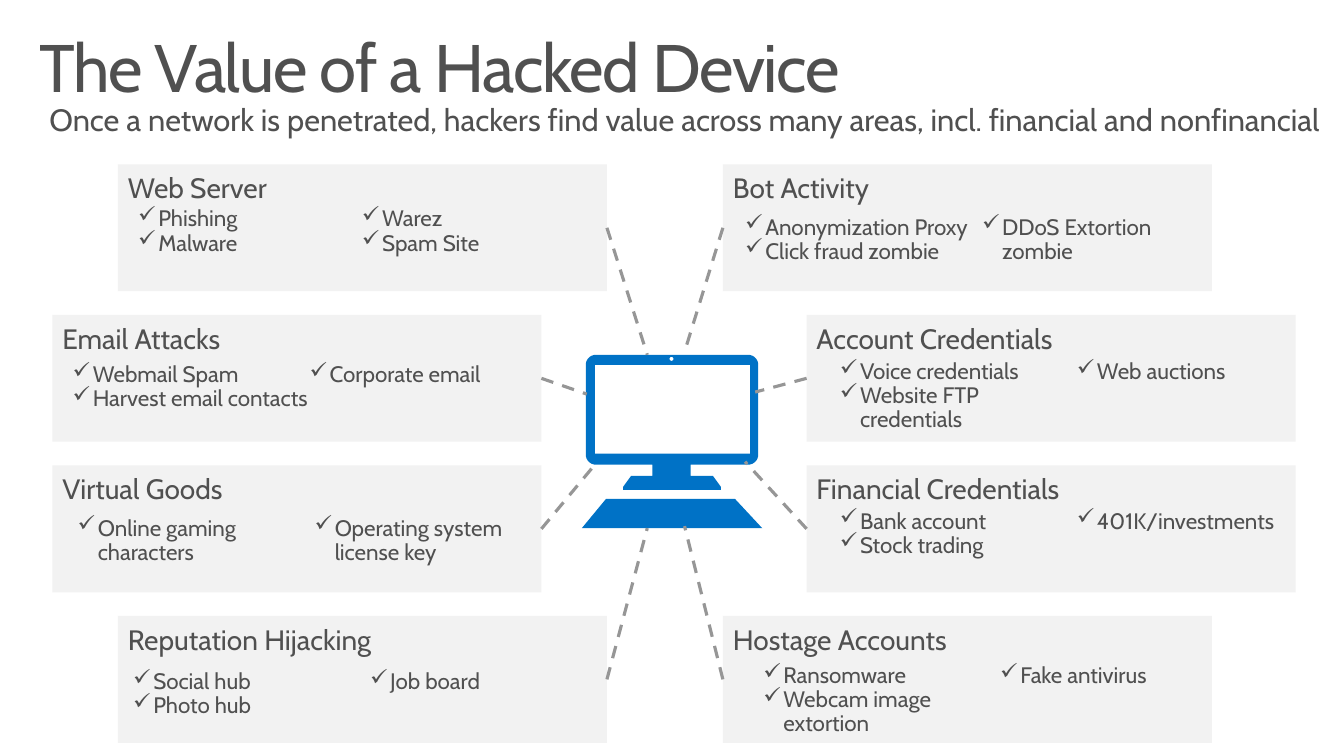
from collections import namedtuple
from math import cos, radians, sin

from lxml import etree
from pptx import Presentation
from pptx.dml.color import RGBColor
from pptx.enum.dml import MSO_LINE
from pptx.enum.shapes import MSO_CONNECTOR, MSO_SHAPE
from pptx.oxml.ns import qn
from pptx.util import Inches, Pt

GREY_TEXT = RGBColor(0x50, 0x50, 0x50)
GREY_LINE = RGBColor(0x96, 0x96, 0x96)
CARD_FILL = RGBColor(0xF2, 0xF2, 0xF2)
BLUE = RGBColor(0x00, 0x72, 0xC6)
RECTANGLE = MSO_SHAPE.RECTANGLE
STRAIGHT = MSO_CONNECTOR.STRAIGHT
DASH = MSO_LINE.DASH
LEFT_SIDE, RIGHT_SIDE = 1, 3

# The slide is a grid of 13.33 columns by 7.5 rows, each cell one inch square.
COLUMNS, ROWS = 13.33, 7.5
CARD_WIDTH, CARD_HEIGHT = 4.85, 1.26
CARD_TOP, CARD_PITCH = 1.63, 4.48 / 3
LIST_COLUMN, LIST_HEIGHT = 2.35, 0.66
BULLET_INDENT = 0.2

Card = namedtuple("Card", "left row heading list_offset list_column items more_items monitor_end")
CARDS = [
    Card(1.17, 0, "Web Server", (0.2, 0.43), 2.22,
         ["Phishing", "Malware"], ["Warez", "Spam Site"], (6.42, 3.52)),
    Card(0.52, 1, "Email Attacks", (0.2, 0.48), LIST_COLUMN,
         ["Webmail Spam", "Harvest email contacts"], ["Corporate email"], (5.82, 3.91)),
    Card(0.52, 2, "Virtual Goods", (0.25, 0.51), LIST_COLUMN,
         ["Online gaming characters"], ["Operating system license key"], (5.9, 4.61)),
    Card(1.17, 3, "Reputation Hijacking", (0.15, 0.54), LIST_COLUMN,
         ["Social hub", "Photo hub"], ["Job board"], (6.42, 5.24)),
    Card(7.17, 0, "Bot Activity", (0.22, 0.51), LIST_COLUMN,
         ["Anonymization Proxy", "Click fraud zombie"], ["DDoS Extortion zombie"], (6.79, 3.49)),
    Card(8, 1, "Account Credentials", (0.33, 0.45), LIST_COLUMN,
         ["Voice credentials", "Website FTP credentials"], ["Web auctions"], (7.49, 3.89)),
    Card(8, 2, "Financial Credentials", (0.33, 0.44), LIST_COLUMN,
         ["Bank account", "Stock trading"], ["401K/investments"], (7.39, 4.58)),
    Card(7.17, 3, "Hostage Accounts", (0.4, 0.48), LIST_COLUMN,
         ["Ransomware", "Webcam image extortion"], ["Fake antivirus"], (6.79, 5.22)),
]


def arc(center_x, center_y, radius, start, end, steps=8):
    """Points along an arc, in degrees clockwise from the right."""
    angles = [radians(start + (end - start) * step / steps) for step in range(steps + 1)]
    return [(center_x + radius * cos(angle), center_y + radius * sin(angle)) for angle in angles]


KEYBOARD = [(6.01, 4.95), (7.29, 4.95), (7.56, 5.24), (5.77, 5.24)]
SCREEN = [(5.9, 3.62), (5.9, 4.5), (7.44, 4.5), (7.44, 3.62)]
CAMERA = arc(6.66, 3.56, 0.02, 0, 360, 16)
STAND = [(6.85, 4.61), (6.85, 4.72), (7.07, 4.72), (7.15, 4.83), (7.15, 4.86),
         (6.18, 4.86), (6.18, 4.83), (6.26, 4.72), (6.47, 4.72), (6.47, 4.61)]
CASE = (arc(5.91, 3.62, 0.1, 180, 270) + arc(7.42, 3.62, 0.1, 270, 360)
        + arc(7.42, 4.51, 0.1, 0, 90) + STAND + arc(5.91, 4.51, 0.1, 90, 180))


class SlidePainter:
    font_name = "Cabin"
    line_spacing = 0.9

    def __init__(self, slide):
        self.slide = slide
        self.shapes = slide.shapes

    def text(self, left, top, width, height, lines, size,
             insets=(0, 0, 0, 0), tracking=None, bullet=None):
        """Text box with one paragraph per line; insets run left, top, right, bottom."""
        frame = self.shapes.add_textbox(*map(Inches, (left, top, width, height))).text_frame
        frame.word_wrap = True
        (frame.margin_left, frame.margin_top,
         frame.margin_right, frame.margin_bottom) = map(Inches, insets)
        frame.text = "\n".join(lines)
        for paragraph in frame.paragraphs:
            paragraph.line_spacing = self.line_spacing
            if bullet:
                self.add_bullet(paragraph, bullet)
            for run in paragraph.runs:
                run.font.name = self.font_name
                run.font.size = Pt(size)
                run.font.color.rgb = GREY_TEXT
                if tracking:
                    run.font._element.set("spc", str(tracking * 100))

    def add_bullet(self, paragraph, character):
        properties = paragraph._p.get_or_add_pPr()
        indent = Inches(BULLET_INDENT)
        properties.set("marL", str(indent))
        properties.set("indent", str(-indent))
        etree.SubElement(properties, qn("a:buChar")).set("char", character)

    def fill_plain(self, shape, color):
        shape.shadow.inherit = False
        shape.fill.solid()
        shape.fill.fore_color.rgb = color
        shape.line.fill.background()

    def panel(self, left, top):
        panel = self.shapes.add_shape(
            RECTANGLE, *map(Inches, (left, top, CARD_WIDTH, CARD_HEIGHT)))
        self.fill_plain(panel, CARD_FILL)
        return panel

    def outline(self, contours, color):
        """One filled shape; contours inside others become holes."""
        contours = [[(Inches(x), Inches(y)) for x, y in contour] for contour in contours]
        builder = self.shapes.build_freeform(*contours[0][0])
        builder.add_line_segments(contours[0][1:], close=True)
        for contour in contours[1:]:
            builder.move_to(*contour[0])
            builder.add_line_segments(contour[1:], close=True)
        self.fill_plain(builder.convert_to_shape(), color)

    def dashed_link(self, panel, side, end):
        end_x, end_y = map(Inches, end)
        link = self.shapes.add_connector(STRAIGHT, end_x, end_y, end_x, end_y)
        link.begin_connect(panel, side)
        link.line.color.rgb = GREY_LINE
        link.line.width = Pt(2.25)
        link.line.dash_style = DASH
        etree.SubElement(link._element.spPr, qn("a:effectLst"))

    def card(self, card):
        top = CARD_TOP + card.row * CARD_PITCH
        panel = self.panel(card.left, top)
        self.text(card.left, top, 3, 0.57, [card.heading], 20, (0.1, 0.1, 0.2, 0.16))
        offset_x, offset_y = card.list_offset
        for column, items in enumerate((card.items, card.more_items)):
            self.text(card.left + offset_x + column * card.list_column, top + offset_y,
                      card.list_column, LIST_HEIGHT, items, 16, bullet="✓")
        side = RIGHT_SIDE if card.left < COLUMNS / 2 else LEFT_SIDE
        self.dashed_link(panel, side, card.monitor_end)


def main():
    presentation = Presentation()
    presentation.slide_width = Inches(COLUMNS)
    presentation.slide_height = Inches(ROWS)
    painter = SlidePainter(presentation.slides.add_slide(presentation.slide_layouts[6]))

    painter.text(0.29, 0.29, 12.75, 0.98, ["The Value of a Hacked Device"], 48,
                 (0.1, 0.05, 0.1, 0.05), tracking=-1)
    painter.text(0.29, 0.88, 12.92, 0.66,
                 ["Once a network is penetrated, hackers find value across many areas, "
                  "incl. financial and nonfinancial"], 22, (0.2, 0.16, 0, 0.16))
    painter.outline([KEYBOARD, CASE, SCREEN, CAMERA], BLUE)
    for card in CARDS:
        painter.card(card)

    presentation.save("out.pptx")


if __name__ == "__main__":
    main()
